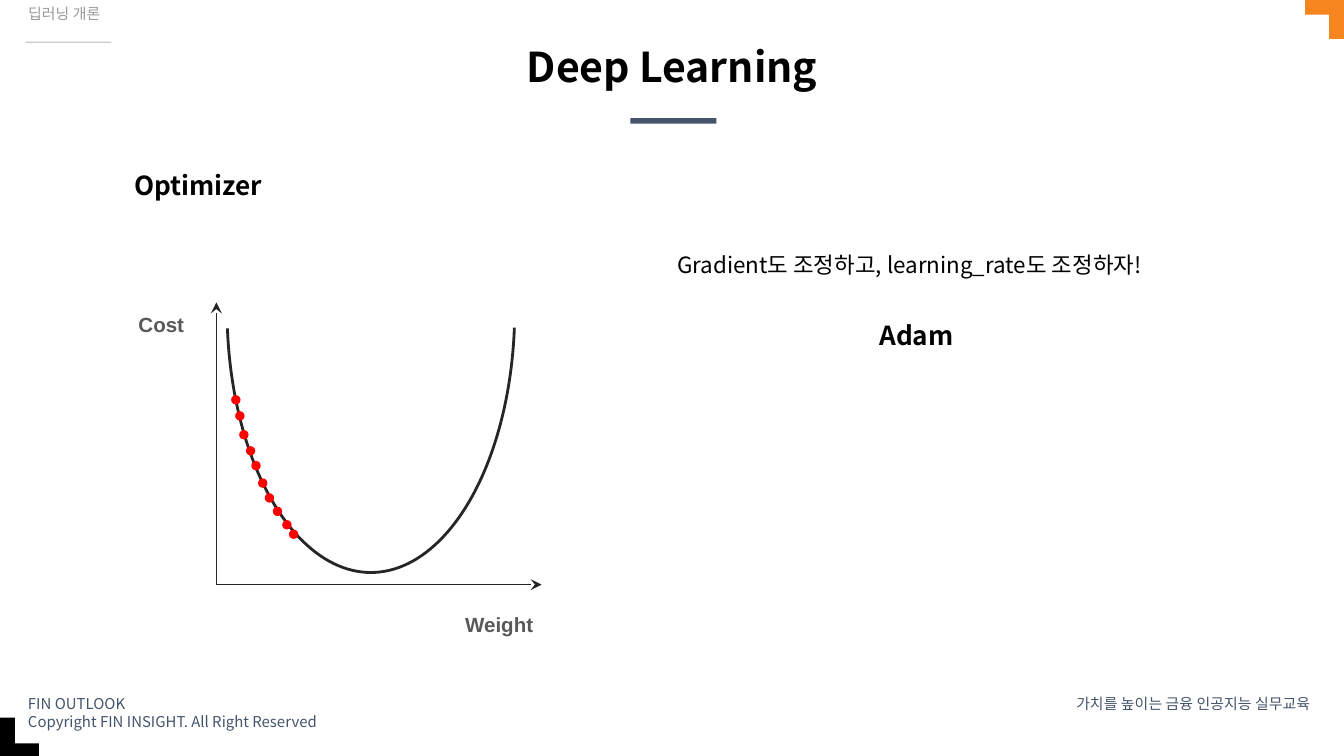
from lxml import etree
from pptx import Presentation
from pptx.dml.color import RGBColor
from pptx.enum.shapes import MSO_CONNECTOR, MSO_SHAPE
from pptx.enum.text import MSO_ANCHOR, MSO_AUTO_SIZE, PP_ALIGN
from pptx.oxml.ns import qn
from pptx.util import Inches, Pt

RECTANGLE, OVAL, ARC = MSO_SHAPE.RECTANGLE, MSO_SHAPE.OVAL, MSO_SHAPE.ARC
STRAIGHT = MSO_CONNECTOR.STRAIGHT
TOP, BOTTOM = MSO_ANCHOR.TOP, MSO_ANCHOR.BOTTOM
LEFT, CENTER, RIGHT = PP_ALIGN.LEFT, PP_ALIGN.CENTER, PP_ALIGN.RIGHT
NO_AUTOFIT = MSO_AUTO_SIZE.NONE

BLACK = RGBColor(0x00, 0x00, 0x00)
SLATE = RGBColor(0x44, 0x54, 0x6A)
ORANGE = RGBColor(0xF6, 0x84, 0x1F)
RED = RGBColor(0xFF, 0x00, 0x00)
INK = RGBColor(0x26, 0x26, 0x26)
LABEL_GRAY = RGBColor(0x59, 0x59, 0x59)
HEADER_GRAY = RGBColor(0x99, 0x99, 0x99)
RULE_GRAY = RGBColor(0xCC, 0xCC, 0xCC)
KOREAN_FONT = "Noto Sans CJK KR"
LATIN_FONT = "Arial"


def write_text(shape, box, text, size, color, bold=False, alignment=LEFT,
               insets=(0.1, 0.1), font=KOREAN_FONT, anchor=TOP, spacing=1.0):
    shape.left, shape.top, shape.width, shape.height = map(Inches, box)
    text_frame = shape.text_frame
    text_frame.text = text
    text_frame.word_wrap = True
    text_frame.auto_size = NO_AUTOFIT
    text_frame.vertical_anchor = anchor
    text_frame.margin_left = text_frame.margin_right = Inches(insets[0])
    text_frame.margin_top = text_frame.margin_bottom = Inches(insets[1])
    for paragraph in text_frame.paragraphs:
        paragraph.alignment = alignment
        paragraph.line_spacing = spacing
        paragraph.space_before = Pt(0)
        for run in paragraph.runs:
            run.font.size = Pt(size)
            run.font.bold = bold
            run.font.color.rgb = color
            run.font.name = font
            east_asian = etree.SubElement(run.font._element, qn("a:ea"))
            east_asian.set("typeface", font)


def add_filled(kind, box, color, rotation=0):
    shape = slide.shapes.add_shape(kind, *map(Inches, box))
    shape.shadow.inherit = False
    shape.fill.solid()
    shape.fill.fore_color.rgb = color
    shape.line.fill.background()
    shape.rotation = rotation


presentation = Presentation()
presentation.slide_width = Inches(10)
presentation.slide_height = Inches(10) * 9 // 16
slide = presentation.slides.add_slide(presentation.slide_layouts[0])

bars = [
    ((4.69, 0.88, 0.64, 0.04), SLATE, 0),
    ((0.19, 0.31, 0.64, 0.01), RULE_GRAY, 0),
    ((0, 5.53, 0.29, 0.11), BLACK, 180),
    ((-0.09, 5.43, 0.29, 0.11), BLACK, 90),
    ((9.71, 0, 0.29, 0.11), ORANGE, 0),
    ((9.8, 0.09, 0.29, 0.11), ORANGE, 270),
]
for box, color, rotation in bars:
    add_filled(RECTANGLE, box, color, rotation)

write_text(slide.shapes.title, (1.09, 0.3, 7.82, 0.4), "Deep Learning", 22, BLACK,
           bold=True, alignment=CENTER, insets=(0.04, 0.02), anchor=BOTTOM, spacing=0.9)
write_text(slide.placeholders[1], (0.11, 0, 2.84, 0.4), "딥러닝 개론", 8, HEADER_GRAY,
           insets=(0.1, 0.05), spacing=0.9)

footer = {"size": 8, "color": SLATE, "insets": (0.1, 0.05)}
heading = {"size": 14, "color": BLACK, "bold": True}
axis_label = {"size": 11, "color": LABEL_GRAY, "bold": True,
              "insets": (0.07, 0.04), "font": LATIN_FONT}
texts = [
    ((0.11, 5.12, 2.98, 0.27),
     "FIN OUTLOOK\nCopyright FIN INSIGHT. All Right Reserved", footer),
    ((7.76, 5.12, 2.09, 0.17), "가치를 높이는 금융 인공지능 실무교육",
     {**footer, "alignment": RIGHT}),
    ((0.9, 1.16, 3.7, 0.4), "Optimizer", heading),
    ((0.96, 2.28, 0.58, 0.28), "Cost", axis_label),
    ((3.39, 4.51, 0.71, 0.28), "Weight", axis_label),
    ((4.94, 1.77, 4.74, 1.06), "Gradient도 조정하고, learning_rate도 조정하자!",
     {"size": 12, "color": BLACK}),
    ((5.18, 2.28, 3.28, 0.81), "Adam", {**heading, "alignment": CENTER}),
]
for box, text, style in texts:
    write_text(slide.shapes.add_textbox(*map(Inches, box)), box, text, **style)

origin = (1.61, 4.35)
for axis_end in [(1.61, 2.25), (4.03, 4.35)]:
    axis = slide.shapes.add_connector(STRAIGHT, *map(Inches, origin + axis_end))
    axis.line.color.rgb = INK
    axis.line.width = Pt(0.75)
    etree.SubElement(axis.line._get_or_add_ln(), qn("a:tailEnd")).set("type", "stealth")
    etree.SubElement(axis._element.spPr, qn("a:effectLst"))

cost_curve = slide.shapes.add_shape(ARC, Inches(1.69), Inches(0.35), Inches(2.14), Inches(3.91))
cost_curve.adjustments[0] = 4.26
cost_curve.adjustments[1] = 103.55
cost_curve.shadow.inherit = False
cost_curve.fill.background()
cost_curve.line.color.rgb = INK
cost_curve.line.width = Pt(1.5)

descent_steps = [(1.72, 2.94), (1.75, 3.06), (1.78, 3.2), (1.83, 3.32), (1.87, 3.43),
                 (1.92, 3.56), (1.97, 3.67), (2.03, 3.77), (2.1, 3.87), (2.15, 3.94)]
for left, top in descent_steps:
    add_filled(OVAL, (left, top, 0.07, 0.07), RED)

presentation.save("out.pptx")
